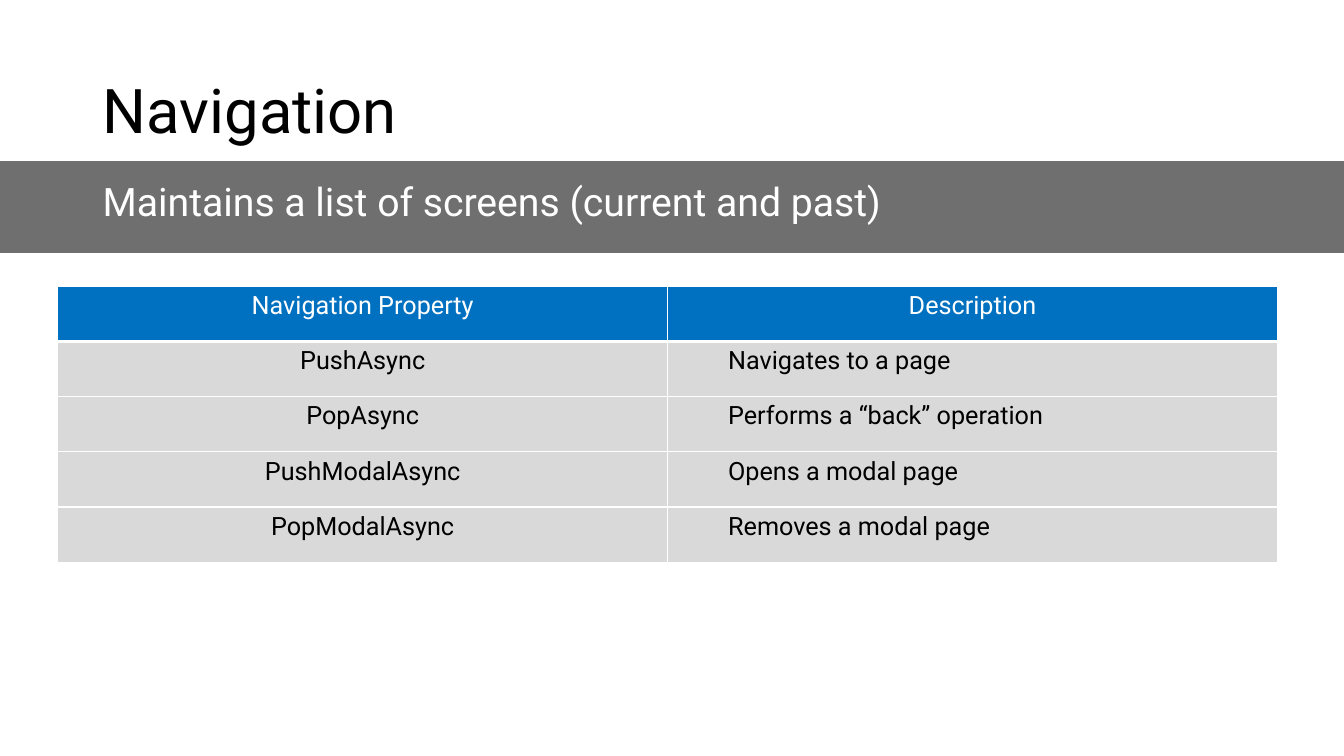
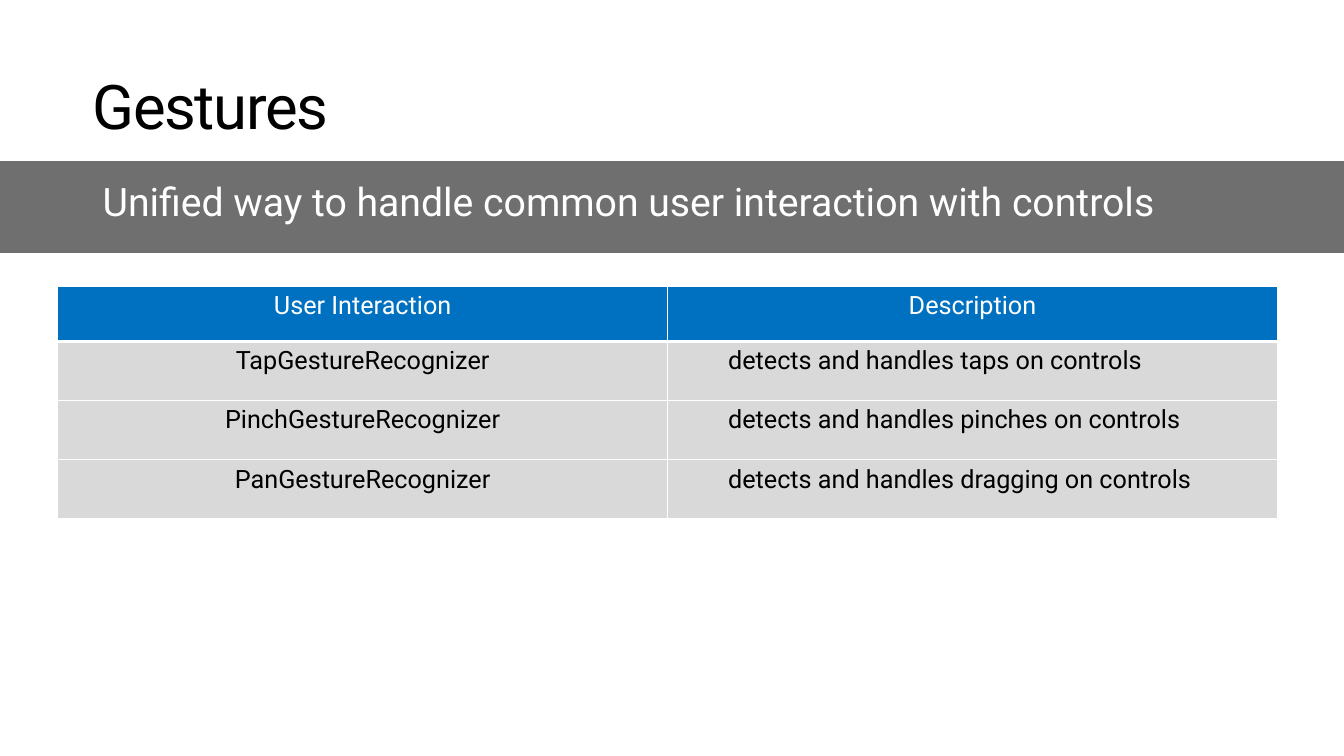
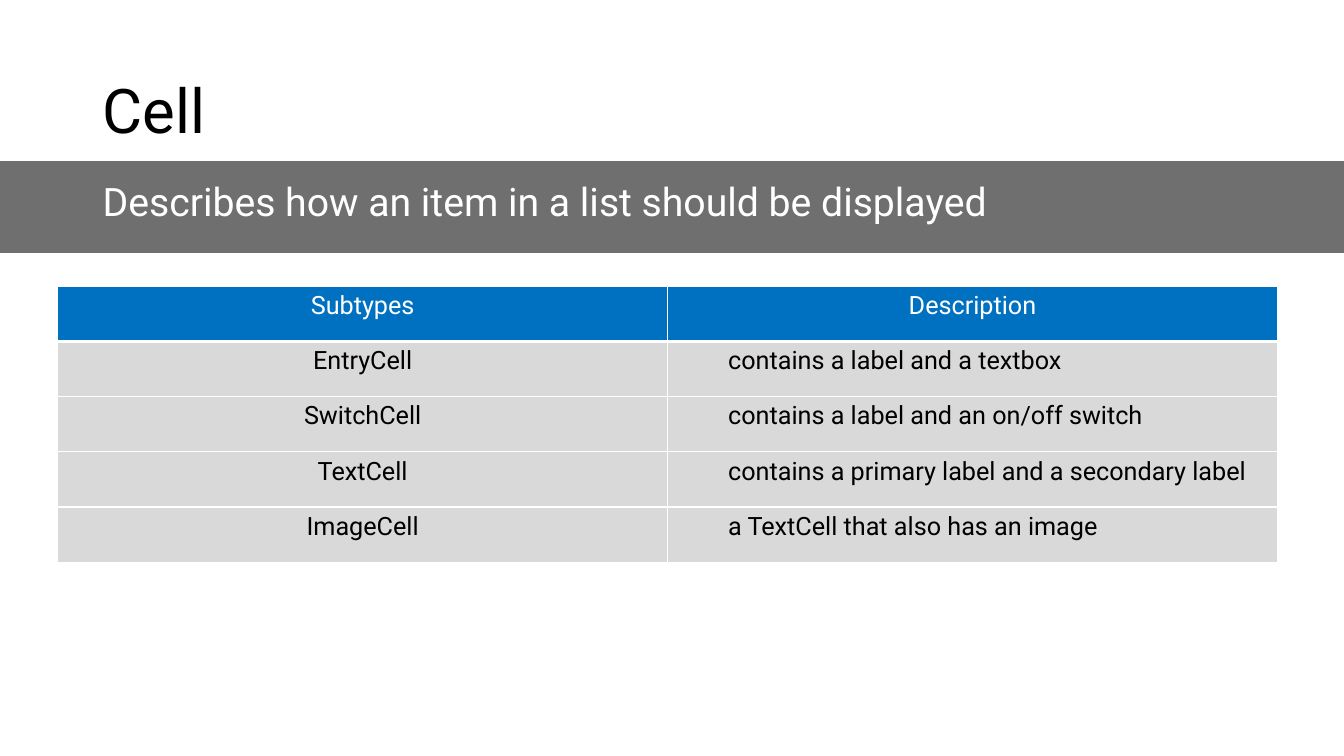
import pptx
import pptx.util
import pptx.dml.color
import pptx.enum.shapes
import pptx.enum.text
import pptx.oxml
import pptx.oxml.ns

RGB = pptx.dml.color.RGBColor
WHITE = RGB(0xFF, 0xFF, 0xFF)
BLACK = RGB(0, 0, 0)
GRAY = RGB(0x6F, 0x6F, 0x6F)
BLUE = RGB(0x00, 0x70, 0xC0)
PALE = RGB(0xD9, 0xD9, 0xD9)
Pt = pptx.util.Pt
ALIGN = pptx.enum.text.PP_ALIGN
ANCHOR = pptx.enum.text.MSO_ANCHOR
FIT = pptx.enum.text.MSO_AUTO_SIZE
RECT = pptx.enum.shapes.MSO_SHAPE.RECTANGLE


class Deck:
    """Hold the shared style and the current slide; lengths are percents of the slide."""

    font = "Roboto"
    edge = 6.9

    def __init__(self):
        self.prs = pptx.Presentation()
        self.prs.slide_width = pptx.util.Inches(13.33)
        self.prs.slide_height = pptx.util.Inches(7.5)

    def wide(self, share):
        """Turn a share of the width into a length."""
        return round(self.prs.slide_width * share / 100)

    def high(self, share):
        """Turn a share of the height into a length."""
        return round(self.prs.slide_height * share / 100)

    def box(self, left, top, width, height):
        """Turn four shares into a place and a size."""
        return self.wide(left), self.high(top), self.wide(width), self.high(height)

    def start(self):
        """Add a title-only slide."""
        self.slide = self.prs.slides.add_slide(self.prs.slide_layouts[5])

    def label(self, frame, text, size, color, align=ALIGN.LEFT):
        """Put one styled paragraph in a text frame."""
        frame.text = text
        para = frame.paragraphs[0]
        para.alignment = align
        for run in para.runs:
            run.font.name = self.font
            run.font.size = Pt(size)
            run.font.bold = False
            run.font.color.rgb = color
        return para

    def title(self, text, tight=False):
        """Set the title, either centred in its box or tight at the top."""
        head = self.slide.shapes.title
        place = (self.edge, 10.13, 91.5, 9.07) if tight else (self.edge, 5.33, 86.25, 19.33)
        head.left, head.top, head.width, head.height = self.box(*place)
        frame = head.text_frame
        frame.auto_size = FIT.NONE
        frame.word_wrap = True
        frame.vertical_anchor = ANCHOR.TOP if tight else ANCHOR.MIDDLE
        para = self.label(frame, text, 44, BLACK)
        para.line_spacing = 0.9
        if tight:
            frame.margin_left = frame.margin_right = 0
            frame.margin_top = frame.margin_bottom = 0
            para.runs[0]._r.get_or_add_rPr().set("spc", "-100")

    def band(self, text):
        """Draw the full-width band with its line of text."""
        group = self.slide.shapes.add_group_shape()
        bar = group.shapes.add_shape(RECT, *self.box(0, 21.33, 100, 12.13))
        bar.shadow.inherit = False
        bar.fill.solid()
        bar.fill.fore_color.rgb = GRAY
        bar.line.fill.background()
        note = group.shapes.add_textbox(*self.box(self.edge, 20.93, 87.22, 12.13))
        frame = note.text_frame
        frame.word_wrap = True
        frame.vertical_anchor = ANCHOR.MIDDLE
        self.label(frame, text, 28, WHITE).line_spacing = 0.9

    def rule(self, cell, side, width):
        """Draw one white border of a cell."""
        space = pptx.oxml.ns.nsdecls("a")
        line = pptx.oxml.parse_xml(
            f'<a:{side} {space} w="{Pt(width)}"><a:solidFill>'
            f'<a:srgbClr val="{WHITE}"/></a:solidFill></a:{side}>')
        cell._tc.get_or_add_tcPr().append(line)

    def cell(self, cell, text, row, col):
        """Style one cell by its row and column."""
        head = row == 0
        for side in ("lnL", "lnR", "lnT", "lnB"):
            thick = (row, side) in ((0, "lnB"), (1, "lnT"))
            self.rule(cell, side, 3 if thick else 1)
        cell.fill.solid()
        cell.fill.fore_color.rgb = BLUE if head else PALE
        align = ALIGN.CENTER if head or col == 0 else ALIGN.LEFT
        para = self.label(cell.text_frame, text, 18, WHITE if head else BLACK, align)
        if align == ALIGN.LEFT:
            para.level = 1
            props = para._p.get_or_add_pPr()
            props.set("marL", str(pptx.util.Inches(0.5)))
            props.set("indent", "0")

    def table(self, rows, step):
        """Draw a two-column table; step is the height of a body row."""
        top = 7.3
        place = self.box(4.3, 37.87, 90.75, top + step * (len(rows) - 1))
        grid = self.slide.shapes.add_table(len(rows), len(rows[0]), *place).table
        grid.first_row = grid.horz_banding = False
        for r, texts in enumerate(rows):
            grid.rows[r].height = self.high(step if r else top)
            for c, text in enumerate(texts):
                self.cell(grid.cell(r, c), text, r, c)


PAGES = [
    dict(
        title="Navigation",
        band="Maintains a list of screens (current and past)",
        rows=[
            ("Navigation Property", "Description"),
            ("PushAsync", "Navigates to a page"),
            ("PopAsync", "Performs a “back” operation"),
            ("PushModalAsync", "Opens a modal page"),
            ("PopModalAsync", "Removes a modal page"),
        ],
    ),
    dict(
        title="Gestures",
        tight=True,
        step=7.83,
        band="Unified way to handle common user interaction with controls",
        rows=[
            ("User Interaction", "Description"),
            ("TapGestureRecognizer", "detects and handles taps on controls"),
            ("PinchGestureRecognizer", "detects and handles pinches on controls"),
            ("PanGestureRecognizer", "detects and handles dragging on controls"),
        ],
    ),
    dict(
        title="Cell",
        band="Describes how an item in a list should be displayed",
        rows=[
            ("Subtypes", "Description"),
            ("EntryCell", "contains a label and a textbox"),
            ("SwitchCell", "contains a label and an on/off switch"),
            ("TextCell", "contains a primary label and a secondary label"),
            ("ImageCell", "a TextCell that also has an image"),
        ],
    ),
]


def main():
    """Build and save the slides."""
    deck = Deck()
    for page in PAGES:
        deck.start()
        deck.title(page["title"], page.get("tight", False))
        deck.band(page["band"])
        deck.table(page["rows"], page.get("step", 7.3))
    deck.prs.save("out.pptx")


if __name__ == "__main__":
    main()
